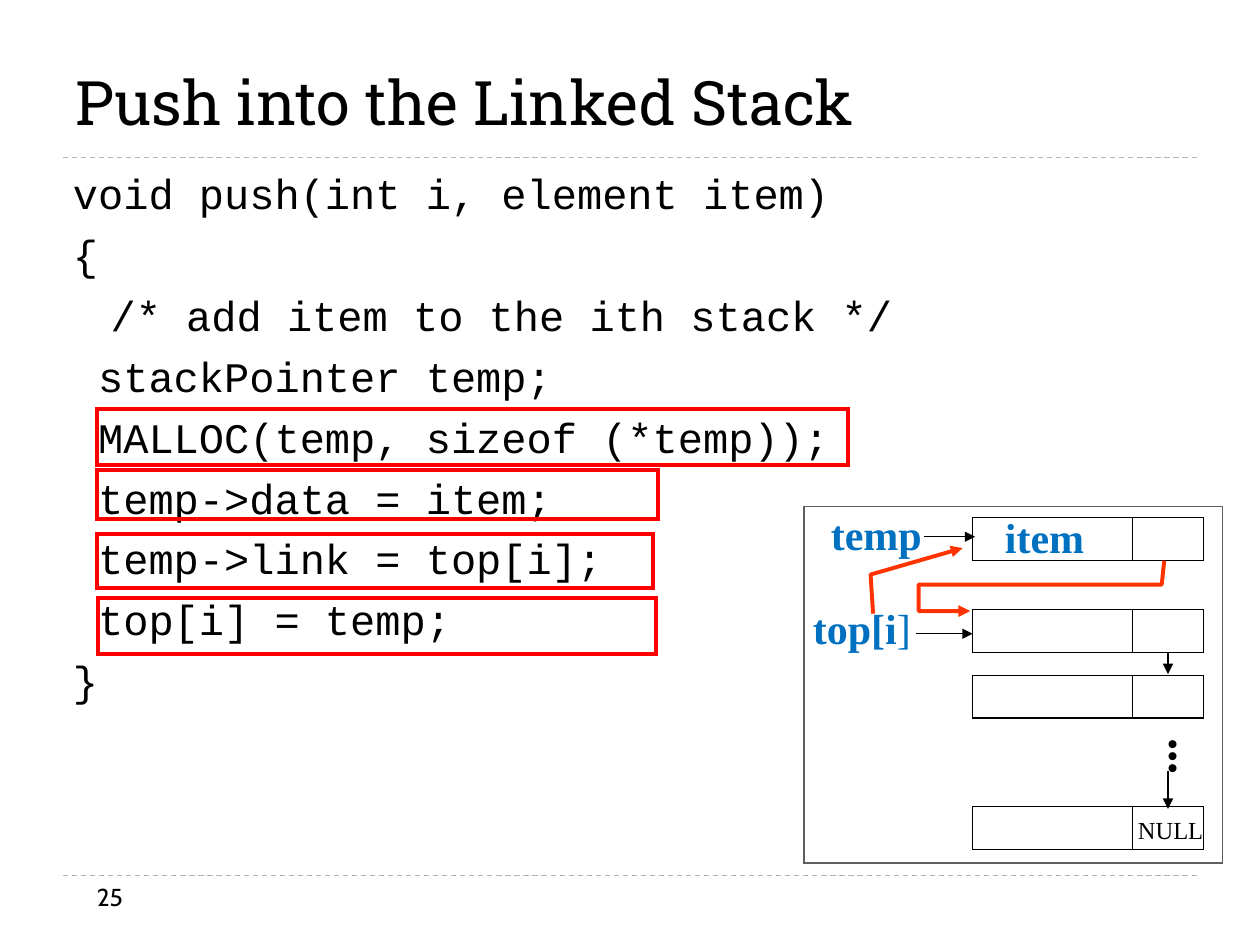
from lxml.etree import SubElement
from pptx import Presentation
from pptx.dml.color import RGBColor
from pptx.enum.dml import MSO_LINE
from pptx.enum.shapes import MSO_CONNECTOR, MSO_SHAPE
from pptx.enum.text import MSO_ANCHOR, PP_ALIGN
from pptx.oxml.ns import qn
from pptx.util import Cm, Pt

TITLE = "Push into the Linked Stack"
CODE = [
    "void push(int i, element item)",
    "{",
    "\t/* add item to the ith stack */",
    " stackPointer temp;",
    " MALLOC(temp, sizeof (*temp));",
    " temp->data = item;",
    " temp->link = top[i];",
    " top[i] = temp;",
    "}",
]
PAGE_NUMBER = "25"

BLACK, BLUE, RED, ORANGE, GREY, RULE = "000000", "0070C0", "FF0000", "FF3300", "5F5F5F", "B2B2B2"
TITLE_FONT = {"name": "Roboto Slab", "size": Pt(35), "bold": False}
CODE_FONT = {"name": "Courier New", "size": Pt(24)}
LABEL_FONT = {"name": "Times New Roman", "size": Pt(24), "bold": True}
NULL_FONT = {"name": "Times New Roman", "size": Pt(14)}
DOTS_FONT = {"name": "Times New Roman", "size": Pt(28), "bold": True}
NUMBER_FONT = {"name": "Cabin", "size": Pt(14)}

RULE_TOPS = [1.25, 6.95]
NODE_LEFT, DATA_WIDTH, LINK_WIDTH, NODE_HEIGHT = 7.72, 1.27, 0.56, 0.34
NODE_TOPS = [4.11, 4.84, 5.36, 6.4]
FRAME = (6.38, 4.02, 3.32, 2.83)
HIGHLIGHTS = [
    (0.77, 3.25, 5.96, 0.44),
    (0.77, 3.73, 4.45, 0.39),
    (0.77, 4.24, 4.41, 0.43),
    (0.78, 4.75, 4.43, 0.44),
]
ARROWS = [
    (7.33, 4.26, 7.74, 4.26),
    (7.27, 5.03, 7.72, 5.03),
    (9.27, 5.18, 9.27, 5.35),
    (9.27, 6.12, 9.27, 6.42),
]
NEW_LINKS = [
    [(9.24, 4.45), (9.22, 4.64), (7.29, 4.64), (7.29, 4.85), (7.7, 4.85)],
    [(6.93, 4.87), (6.91, 4.56), (7.64, 4.35)],
]
LABELS = [
    ("temp", (6.49, 3.99, 0.93, 0.5), LABEL_FONT, BLUE),
    ("item", (7.87, 4.01, 0.84, 0.5), LABEL_FONT, BLUE),
    ("top[i", (6.34, 4.83, 1, 0.3), LABEL_FONT, BLUE),
    ("NULL", (8.93, 6.42, 0.72, 0.33), NULL_FONT, BLACK),
    ("...", (9.05, 5.76, 0.67, 0.39), DOTS_FONT, BLACK),
]


def inches(*values):
    return [Cm(value * 2.54) for value in values]


def color(hex_value):
    return RGBColor.from_string(hex_value)


def style(span, font, hex_value):
    for key, value in font.items():
        setattr(span.font, key, value)
    span.font.color.rgb = color(hex_value)


def add_span(para, text, font, hex_value):
    span = para.add_run()
    span.text = text
    style(span, font, hex_value)


def set_line(shape, hex_value, width, arrow=False):
    shape.line.color.rgb = color(hex_value)
    shape.line.width = Pt(width)
    if arrow:
        SubElement(shape.line._get_or_add_ln(), qn("a:tailEnd"), type="triangle")


def add_line(page, ends, hex_value, arrow=False):
    line = page.shapes.add_connector(MSO_CONNECTOR.STRAIGHT, *inches(*ends))
    set_line(line, hex_value, 0.75, arrow)
    SubElement(line._element.spPr, qn("a:effectLst"))
    return line


def add_outline(page, place, hex_value, width):
    box = page.shapes.add_shape(MSO_SHAPE.RECTANGLE, *inches(*place))
    box.shadow.inherit = False
    box.fill.background()
    set_line(box, hex_value, width)
    SubElement(box.line._get_or_add_ln(), qn("a:miter"), lim="800000")


def add_link(page, points):
    start, *rest = [inches(*point) for point in points]
    builder = page.shapes.build_freeform(*start, scale=1.0)
    builder.add_line_segments(rest, close=False)
    link = builder.convert_to_shape()
    link.shadow.inherit = False
    link.fill.background()
    set_line(link, ORANGE, 2.25, arrow=True)


def add_text(page, place, wrap):
    frame = page.shapes.add_textbox(*inches(*place)).text_frame
    frame.word_wrap = wrap
    return frame


def add_label(page, text, place, font, hex_value):
    frame = add_text(page, place, False)
    para = frame.paragraphs[0]
    para.alignment = PP_ALIGN.CENTER
    add_span(para, text, font, hex_value)
    if text == "top[i":
        frame.vertical_anchor = MSO_ANCHOR.MIDDLE
        add_span(para, "]", {**font, "bold": False}, hex_value)
    if text == "...":
        frame._txBody.bodyPr.set("vert", "eaVert")


def add_title(page):
    title = page.shapes.title
    title.left, title.top, title.width, title.height = inches(0.5, 0.13, 8.25, 1.01)
    title.text_frame.vertical_anchor = MSO_ANCHOR.BOTTOM
    para = title.text_frame.paragraphs[0]
    para.alignment = PP_ALIGN.LEFT
    add_span(para, TITLE, TITLE_FONT, BLACK)


def add_code(page):
    frame = add_text(page, (0.48, 1.29, 8.58, 4.67), True)
    frame.margin_top = Cm(0.1)
    indent = Cm(0.76)
    for index, text in enumerate(CODE):
        para = frame.paragraphs[0] if index == 0 else frame.add_paragraph()
        para.space_before = Pt(6 if index else 0)
        properties = para._p.get_or_add_pPr()
        properties.set("marL", str(indent))
        properties.set("indent", str(-indent))
        add_span(para, text, CODE_FONT, BLACK)


def main():
    deck = Presentation()
    deck.slide_width, deck.slide_height = inches(10, 7.5)
    page = deck.slides.add_slide(deck.slide_layouts[5])
    for top in RULE_TOPS:
        add_line(page, (0.5, top, 9.5, top), RULE).line.dash_style = MSO_LINE.DASH
    add_title(page)
    add_code(page)
    for top in NODE_TOPS:
        add_outline(page, (NODE_LEFT, top, DATA_WIDTH, NODE_HEIGHT), BLACK, 0.75)
        add_outline(page, (NODE_LEFT + DATA_WIDTH, top, LINK_WIDTH, NODE_HEIGHT), BLACK, 0.75)
    for ends in ARROWS:
        add_line(page, ends, BLACK, arrow=True)
    for label in LABELS:
        add_label(page, *label)
    for points in NEW_LINKS:
        add_link(page, points)
    add_outline(page, FRAME, GREY, 0.75)
    for place in HIGHLIGHTS:
        add_outline(page, place, RED, 2.25)
    number = add_text(page, (0.67, 6.95, 2.17, 0.4), True)
    add_span(number.paragraphs[0], PAGE_NUMBER, NUMBER_FONT, BLACK)
    deck.save("out.pptx")


if __name__ == "__main__":
    main()
